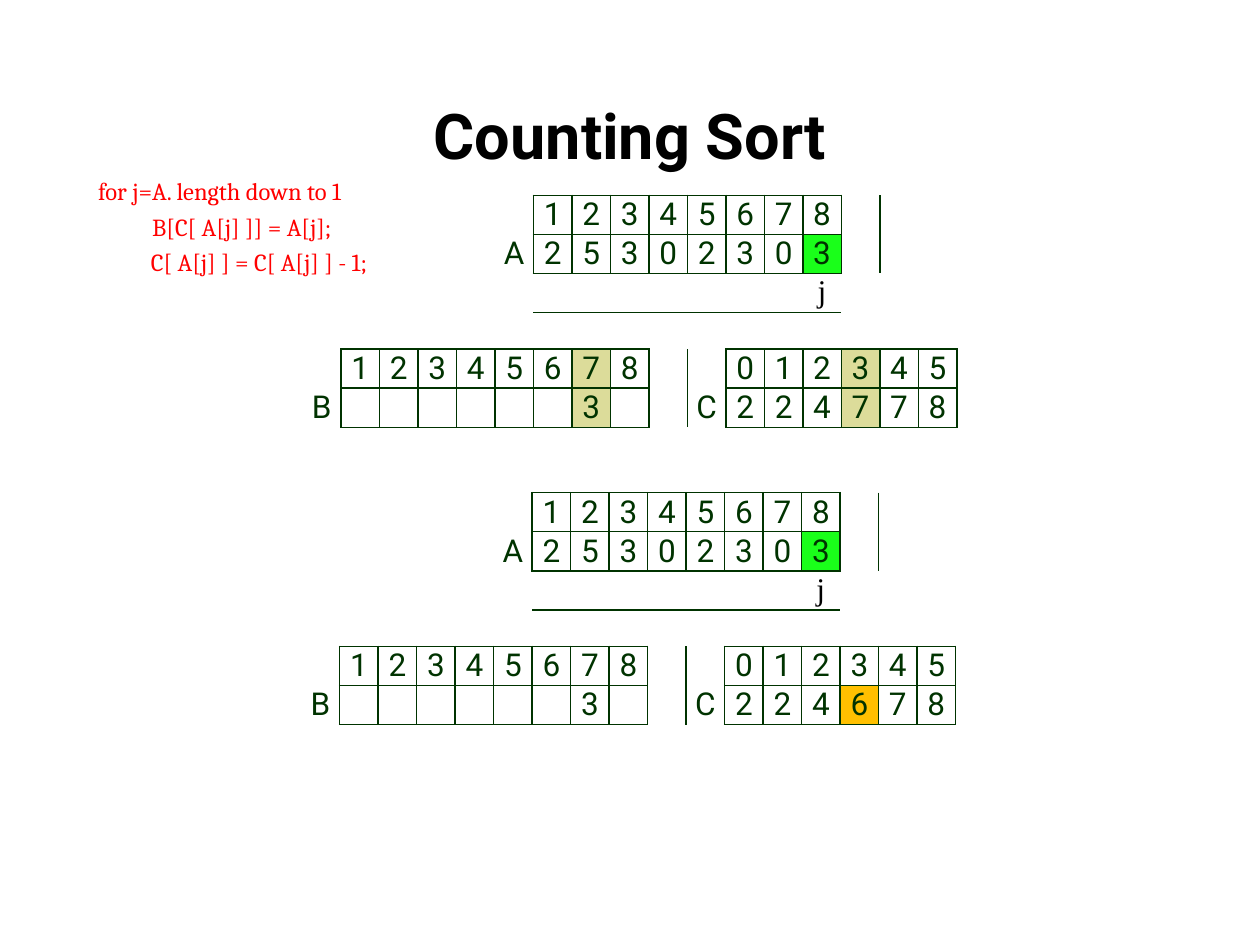
from lxml.etree import SubElement
from pptx import Presentation
from pptx.dml.color import RGBColor
from pptx.enum.text import MSO_ANCHOR, PP_ALIGN
from pptx.oxml.ns import qn
from pptx.util import Inches, Pt

COLORS = {
    "title": "000000",
    "code": "FF0000",
    "ink": "003300",
    "pointer": "000000",
    "current": "1AFF1A",
    "touched": "DCDC9A",
    "decremented": "FFC000",
}
TITLE = "Counting Sort"
CODE = [
    ("for j=A. length down to 1", 0.01),
    ("B[C[ A[j] ]] = A[j];", 0.44),
    ("C[ A[j] ] = C[ A[j] ] - 1;", 0.43),
]
ARRAYS = {
    "A": {"row": 0, "column": 6, "indices": "12345678"},
    "B": {"row": 4, "column": 1, "indices": "12345678"},
    "C": {"row": 4, "column": 11, "indices": "012345"},
}
STEPS = [
    {
        "left": 2.4, "top": 1.55,
        "values": {"A": "25302303", "B": "      3 ", "C": "224778"},
        "fills": {(1, 13): "current", (4, 7): "touched", (5, 7): "touched",
                  (4, 14): "touched", (5, 14): "touched"},
    },
    {
        "left": 2.39, "top": 3.91,
        "values": {"A": "25302303", "B": "      3 ", "C": "224678"},
        "fills": {(1, 13): "current", (5, 14): "decremented"},
    },
]
POINTER = ("j", 2, 13)
COLUMN_COUNT = 17
TABLE_WIDTH = 5.2
ROW_HEIGHTS = [0.3, 0.3, 0.28, 0.29, 0.3, 0.3]
SEPARATORS = {(0, 14): "R", (1, 14): "R", (4, 9): "R", (5, 9): "R"}
SEPARATORS.update({(2, column): "B" for column in range(6, 14)})
PLAIN_STYLE = "{2D5ABB26-0587-4C30-8999-92F81FD0307C}"


def style_font(font, name, size, color, bold=False):
    font.name = name
    font.size = Pt(size)
    font.bold = bold
    font.color.rgb = RGBColor.from_string(COLORS[color])


def add_text_box(slide, left, top, width, height):
    box = slide.shapes.add_textbox(Inches(left), Inches(top), Inches(width), Inches(height))
    box.text_frame.word_wrap = True
    return box.text_frame


def draw_borders(cell, sides):
    properties = cell._tc.get_or_add_tcPr()
    for side in sides:
        line = SubElement(properties, qn(f"a:ln{side}"), w=str(Pt(1)))
        fill = SubElement(line, qn("a:solidFill"))
        SubElement(fill, qn("a:srgbClr"), val=COLORS["ink"])


def write_cell(cell, text, font_name, color):
    cell.margin_left = cell.margin_right = cell.margin_top = Inches(0.01)
    cell.margin_bottom = 0
    paragraph = cell.text_frame.paragraphs[0]
    paragraph.alignment = PP_ALIGN.CENTER
    style_font(paragraph.font, font_name, 18, color)
    if text:
        paragraph.add_run().text = text
    else:
        paragraph._p.get_or_add_endParaRPr().set("sz", "1000")


def lay_out_arrays(values):
    texts, boxed = {}, set()
    for name, array in ARRAYS.items():
        row, first = array["row"], array["column"]
        texts[row + 1, first - 1] = name
        for column, (index, value) in enumerate(zip(array["indices"], values[name]), first):
            texts[row, column] = index
            texts[row + 1, column] = value.strip()
            boxed.update({(row, column), (row + 1, column)})
    return texts, boxed


def add_step(slide, step):
    frame = slide.shapes.add_table(
        len(ROW_HEIGHTS), COLUMN_COUNT, Inches(step["left"]), Inches(step["top"]),
        Inches(TABLE_WIDTH), Inches(sum(ROW_HEIGHTS)))
    table = frame.table
    table.first_row = table.horz_banding = False
    table._tbl.tblPr.find(qn("a:tableStyleId")).text = PLAIN_STYLE
    for column in table.columns:
        column.width = Inches(TABLE_WIDTH / COLUMN_COUNT)
    texts, boxed = lay_out_arrays(step["values"])
    pointer_text, *pointer_place = POINTER
    for row, height in enumerate(ROW_HEIGHTS):
        table.rows[row].height = Inches(height)
        for column in range(COLUMN_COUNT):
            place = (row, column)
            cell = table.cell(row, column)
            if place == tuple(pointer_place):
                write_cell(cell, pointer_text, "Times New Roman", "pointer")
            else:
                write_cell(cell, texts.get(place, ""), "Roboto", "ink")
            draw_borders(cell, "LRTB" if place in boxed else SEPARATORS.get(place, ""))
            if place in step["fills"]:
                cell.fill.solid()
                cell.fill.fore_color.rgb = RGBColor.from_string(COLORS[step["fills"][place]])
            else:
                cell.fill.background()


def add_title(slide):
    frame = add_text_box(slide, 0.5, 0.44, 9, 1.25)
    frame.vertical_anchor = MSO_ANCHOR.MIDDLE
    paragraph = frame.paragraphs[0]
    paragraph.text = TITLE
    paragraph.alignment = PP_ALIGN.CENTER
    style_font(paragraph.font, "Roboto", 36, "title", bold=True)


def add_code(slide):
    frame = add_text_box(slide, 0.67, 1.3, 8.43, 0.93)
    for number, (text, indent) in enumerate(CODE):
        paragraph = frame.add_paragraph() if number else frame.paragraphs[0]
        paragraph.text = text
        paragraph.line_spacing = 1.21
        paragraph._p.get_or_add_pPr().set("marL", str(Inches(indent)))
        style_font(paragraph.font, "Cambria", 14, "code")


def main():
    presentation = Presentation()
    presentation.slide_width = Inches(10)
    presentation.slide_height = Inches(7.5)
    slide = presentation.slides.add_slide(presentation.slide_layouts[6])
    add_title(slide)
    for step in STEPS:
        add_step(slide, step)
    add_code(slide)
    presentation.save("out.pptx")


if __name__ == "__main__":
    main()
